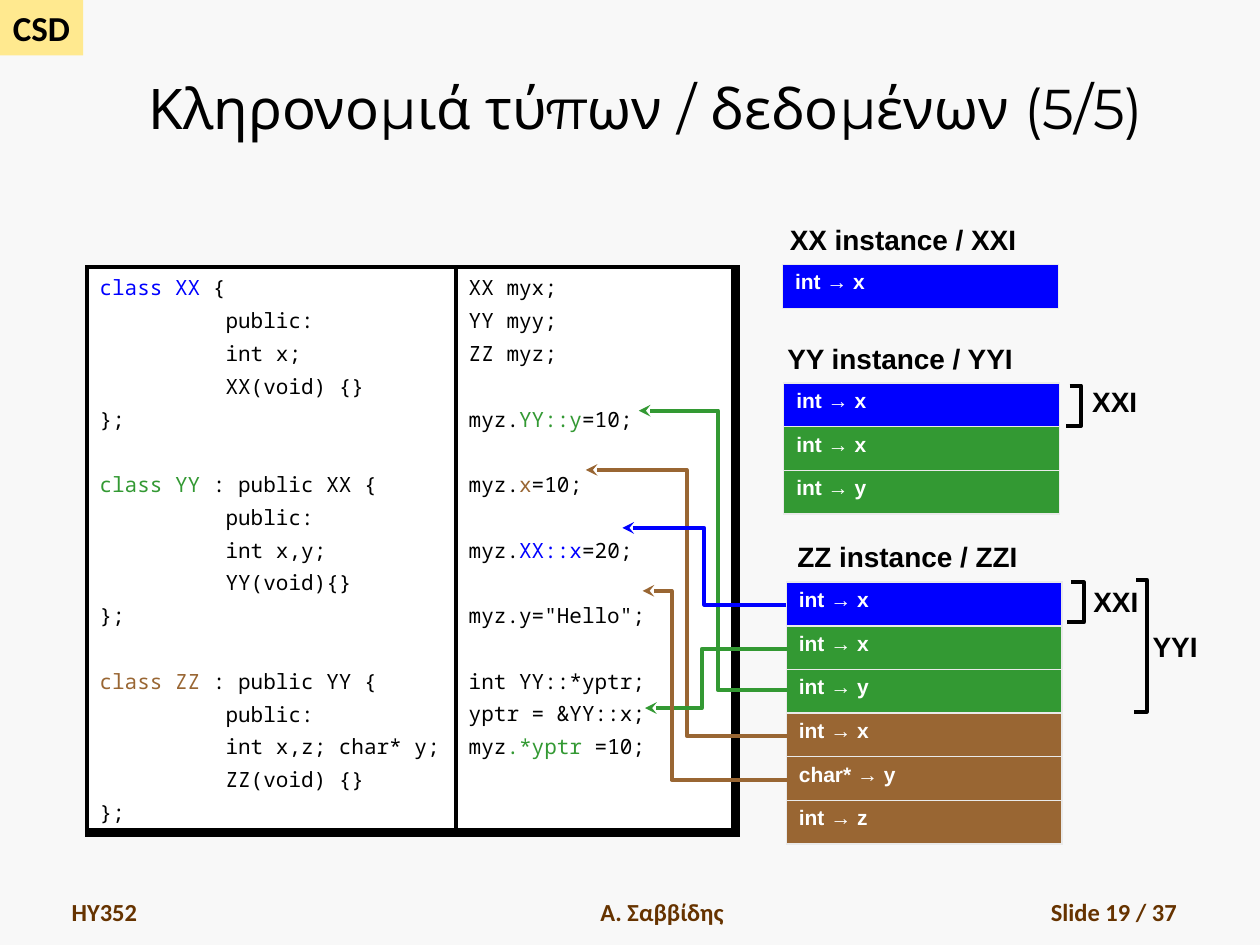
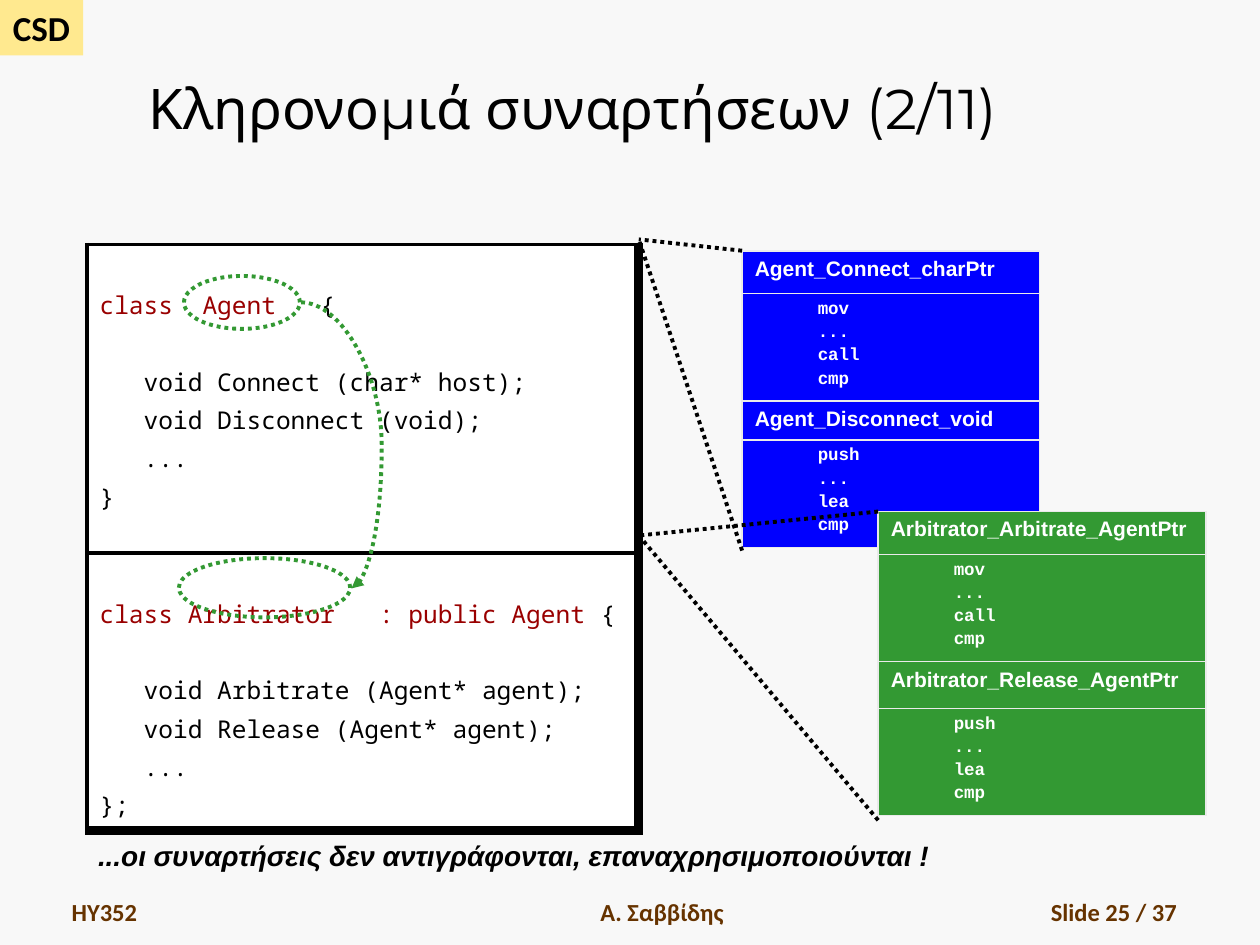
from pptx import Presentation
from pptx.dml.color import RGBColor as RGB
from pptx.enum.dml import MSO_LINE as Dash
from pptx.enum.shapes import MSO_CONNECTOR as Link, MSO_SHAPE as Shape
from pptx.enum.text import MSO_ANCHOR as Anchor, PP_ALIGN as Align
from pptx.oxml.ns import qn
from pptx.util import Inches, Pt
from lxml.etree import SubElement as Sub

INK = {
    "black": "000000", "white": "FFFFFF", "blue": "0000FF",
    "green": "339933", "brown": "996633", "red": "990000",
    "foot": "663300", "page": "F8F8F8", "badge": "FFE98F", "edge": "EAEAEA",
}
INK = {name: RGB.from_string(code) for name, code in INK.items()}
MONO = "Noto Sans Mono"


def write(frame, text, font, size, ink="black", bold=False, align=Align.LEFT, indent=0):
    """A blank line widens the gap, a tab indents, |ink:words| colours words."""
    blank, first = False, True
    for line in text.split("\n"):
        if not line:
            blank = True
            continue
        para = frame.paragraphs[0] if first else frame.add_paragraph()
        para.font.name, para.font.size, para.font.bold = font, Pt(size), bold
        para.font.color.rgb = INK[ink]
        para.alignment = align
        if not first:
            para.space_before = Pt(size * (1.76 if blank else 0.2))
        if line[0] == "\t":
            para._p.get_or_add_pPr().set("marL", str(Inches(indent)))
        for i, part in enumerate(line.strip("\t").split("|")):
            if not part:
                continue
            run = para.add_run()
            if i % 2:
                tint, _, part = part.partition(":")
                run.font.color.rgb = INK[tint]
            run.text = part
        blank, first = False, False


def grid(slide, x, y, cols, rows, fills, edge, thin, thick):
    """Table with one fill per row; thick edges at the outer right and bottom."""
    table = slide.shapes.add_table(
        len(rows), len(cols), Inches(x), Inches(y),
        Inches(sum(cols)), Inches(sum(rows))).table
    table.first_row = table.horz_banding = False
    for col, wide in zip(table.columns, cols):
        col.width = Inches(wide)
    for r, high in enumerate(rows):
        table.rows[r].height = Inches(high)
        for c in range(len(cols)):
            cell = table.cell(r, c)
            props = cell._tc.get_or_add_tcPr()
            right = thick if c == len(cols) - 1 else thin
            base = thick if r == len(rows) - 1 else thin
            for side, wide in zip("LTRB", (thin, thin, right, base)):
                line = Sub(props, qn("a:ln" + side), w=str(Pt(wide)))
                Sub(Sub(line, qn("a:solidFill")), qn("a:srgbClr"), val=str(INK[edge]))
            cell.fill.solid()
            cell.fill.fore_color.rgb = INK[fills[r]]
            cell.margin_left = cell.margin_right = Inches(0.1)
            cell.margin_top = cell.margin_bottom = Inches(0.05)
    return table


deck = Presentation()
deck.slide_width, deck.slide_height = Inches(10), Inches(7.5)

# Shared frame: background, badge, title, footers
slides = []
for title, page in (("Κληρονομιά τύπων / δεδομένων (5/5)", 19),
                    ("Κληρονομιά συναρτήσεων (2/11)", 25)):
    slide = deck.slides.add_slide(deck.slide_layouts[6])
    slides.append(slide)
    slide.background.fill.solid()
    slide.background.fill.fore_color.rgb = INK["page"]

    badge = slide.shapes.add_shape(Shape.RECTANGLE, 0, 0, Inches(0.66), Inches(0.44))
    badge.shadow.inherit = False
    badge.fill.solid()
    badge.fill.fore_color.rgb = INK["badge"]
    badge.line.fill.background()
    badge.text_frame.word_wrap = False
    write(badge.text_frame, "CSD", "Calibri", 20, bold=True, align=Align.CENTER)

    for x, y, wide, high, words, font, size, ink, align in (
        (1.08, 0.17, 8.92, 1, title, "Montserrat", 32, "black", Align.LEFT),
        (0.47, 6.9, 2.19, 0.5, "HY352", "Calibri", 14, "foot", Align.LEFT),
        (3.67, 6.9, 3.17, 0.5, "Α. Σαββίδης", "Calibri", 14, "foot", Align.CENTER),
        (7.36, 6.9, 2.08, 0.5, f"Slide {page} / 37", "Calibri", 14, "foot", Align.RIGHT),
    ):
        box = slide.shapes.add_textbox(Inches(x), Inches(y), Inches(wide), Inches(high))
        box.text_frame.word_wrap = True
        box.text_frame.vertical_anchor = Anchor.BOTTOM
        write(box.text_frame, words, font, size, ink, ink == "foot", align)
types, calls = slides

# Slide 1: code
classes = """|blue:class XX| {
\tpublic:
\tint x;
\tXX(void) {}
};

|green:class YY| : public XX {
\tpublic:
\tint x,y;
\tYY(void){}
};

|brown:class ZZ| : public YY {
\tpublic:
\tint x,z; char* y;
\tZZ(void) {}
};"""
uses = """XX myx;
YY myy;
ZZ myz;

myz.|green:YY::y|=10;

myz.|brown:x|=10;

myz.|blue:XX::x|=20;

myz.y="Hello";

int YY::*yptr;
yptr = &YY::x;
myz|green:.*yptr| =10;"""
table = grid(types, 0.69, 2.12, [2.93, 2.22], [4.49], ["white"], "black", 2.25, 6)
for c, code in enumerate((classes, uses)):
    write(table.cell(0, c).text_frame, code, MONO, 12, indent=1)

# Slide 1: memory layout of each instance
fields = [("blue", "int → x"), ("green", "int → x"), ("green", "int → y"),
          ("brown", "int → x"), ("brown", "char* → y"), ("brown", "int → z")]
for x, y, count in ((6.21, 2.1, 1), (6.22, 3.04, 3), (6.24, 4.62, 6)):
    fills = [ink for ink, _ in fields[:count]]
    table = grid(types, x, y, [2.19], [2.08 / 6] * count, fills, "edge", 1, 1)
    for r, (_, words) in enumerate(fields[:count]):
        write(table.cell(r, 0).text_frame, words, "Arial", 12, "white", True)

# Slide 1: brackets, each with its top lip, right side and bottom lip
for lip, top, right, low, left in (
    (8.49, 3.06, 8.58, 3.38, 8.46),
    (8.5, 4.62, 8.6, 4.94, 8.47),
    (9.02, 4.6, 9.1, 5.65, 9),
):
    path = types.shapes.build_freeform(Inches(lip), Inches(top))
    path.add_line_segments([(Inches(px), Inches(py)) for px, py in
                            ((right, top), (right, low), (left, low))], close=False)
    mark = path.convert_to_shape()
    mark.shadow.inherit = False
    mark.fill.background()
    mark.line.color.rgb = INK["black"]
    mark.line.width = Pt(2.25)

# Slide 2: code
base = """class  Agent|black:   {|

\tvoid Connect (char* host);
\tvoid Disconnect (void);
\t...
}"""
heir = """class Arbitrator   : public Agent|black: {|

\tvoid Arbitrate (Agent* agent);
\tvoid Release (Agent* agent);
\t...
};"""
table = grid(calls, 0.69, 1.94, [4.38], [2.45, 2.2], ["white"] * 2, "black", 2.25, 6)
for r, code in enumerate((base, heir)):
    cell = table.cell(r, 0)
    cell.margin_top = Inches(0.35)
    head, _, body = code.partition("\n")
    write(cell.text_frame, "|red:" + head.replace("|black:", "|", 1).rstrip("|")
          + "\n" + body, MONO, 14, indent=0.35)

# Slide 2: compiled functions
bodies = ("\tmov\n\t...\n\tcall\n\tcmp", "\tpush\n\t...\n\tlea\n\tcmp")
for x, y, wide, gap, ink, names in (
    (5.89, 1.99, 2.36, 0.31, "blue",
     ("Agent_Connect_charPtr", "Agent_Disconnect_void")),
    (6.97, 4.06, 2.6, 0.37, "green",
     ("Arbitrator_Arbitrate_AgentPtr", "Arbitrator_Release_AgentPtr")),
):
    table = grid(calls, x, y, [wide], [0.34, 0.81, gap, 0.81], [ink] * 4, "edge", 1, 1)
    for i, (name, body) in enumerate(zip(names, bodies)):
        write(table.cell(2 * i, 0).text_frame, name, "Arial", 12, "white", True)
        write(table.cell(2 * i + 1, 0).text_frame, body, "Courier New", 10,
              "white", True, indent=0.5)

# Slide 2: rings around the class names
for x, y, wide, high in ((1.46, 2.19, 0.92, 0.42), (1.42, 4.43, 1.36, 0.47)):
    ring = calls.shapes.add_shape(Shape.OVAL, Inches(x), Inches(y),
                                  Inches(wide), Inches(high))
    ring.shadow.inherit = False
    ring.fill.background()
    ring.line.color.rgb = INK["green"]
    ring.line.width = Pt(2.25)
    ring.line.dash_style = Dash.ROUND_DOT

# Labels of both slides
for slide, x, y, wide, words in (
    (types, 6.17, 1.72, 2.13, "XX instance / XXI"),
    (types, 6.15, 2.66, 2.01, "YY instance / YYI"),
    (types, 6.23, 4.23, 1.96, "ZZ instance / ZZI"),
    (types, 8.57, 3, 0.56, "XXI"),
    (types, 8.58, 4.59, 0.56, "XXI"),
    (types, 9.05, 4.95, 0.56, "YYI"),
    (calls, 0.68, 6.61, 6.83, "...οι συναρτήσεις δεν αντιγράφονται, επαναχρησιμοποιούνται !"),
):
    box = slide.shapes.add_textbox(Inches(x), Inches(y), Inches(wide), Inches(0.37))
    box.text_frame.word_wrap = False
    write(box.text_frame, words, "Arial", 16, bold=True)
    box.text_frame.paragraphs[0].font.italic = slide is calls

# Connectors of both slides: start, end, x of the bend, colour, arrowhead
for slide, kind, x1, y1, x2, y2, bend, ink, tip in (
    (types, Link.ELBOW, 6.25, 5.48, 5.07, 3.26, 5.7, "green", "stealth"),
    (types, Link.ELBOW, 6.25, 5.84, 4.65, 3.73, 5.45, "brown", "stealth"),
    (types, Link.ELBOW, 6.24, 4.8, 4.94, 4.19, 5.59, "blue", "stealth"),
    (types, Link.ELBOW, 6.25, 5.15, 5.12, 5.62, 5.57, "green", "stealth"),
    (types, Link.ELBOW, 6.25, 6.19, 5.1, 4.69, 5.33, "brown", "stealth"),
    (calls, Link.STRAIGHT, 5.89, 1.99, 5.07, 1.9, None, "black", None),
    (calls, Link.STRAIGHT, 5.89, 4.37, 5.07, 1.9, None, "black", None),
    (calls, Link.STRAIGHT, 6.97, 4.06, 5.07, 4.25, None, "black", None),
    (calls, Link.STRAIGHT, 6.97, 6.51, 5.07, 4.25, None, "black", None),
    (calls, Link.CURVE, 2.39, 2.4, 2.79, 4.67, 3.03, "green", "triangle"),
):
    link = slide.shapes.add_connector(kind, Inches(x1), Inches(y1), Inches(x2), Inches(y2))
    link.line.color.rgb = INK[ink]
    link.line.width = Pt(2.25)
    if slide is calls:
        link.line.dash_style = Dash.ROUND_DOT
    props = link._element.spPr
    if tip:
        Sub(props.find(qn("a:ln")), qn("a:tailEnd"), type=tip)
        shift = round((bend - x1) / (x2 - x1) * 100000)
        Sub(props.find(qn("a:prstGeom")).find(qn("a:avLst")), qn("a:gd"),
            name="adj1", fmla=f"val {shift}")
    Sub(props, qn("a:effectLst"))

deck.save("out.pptx")
